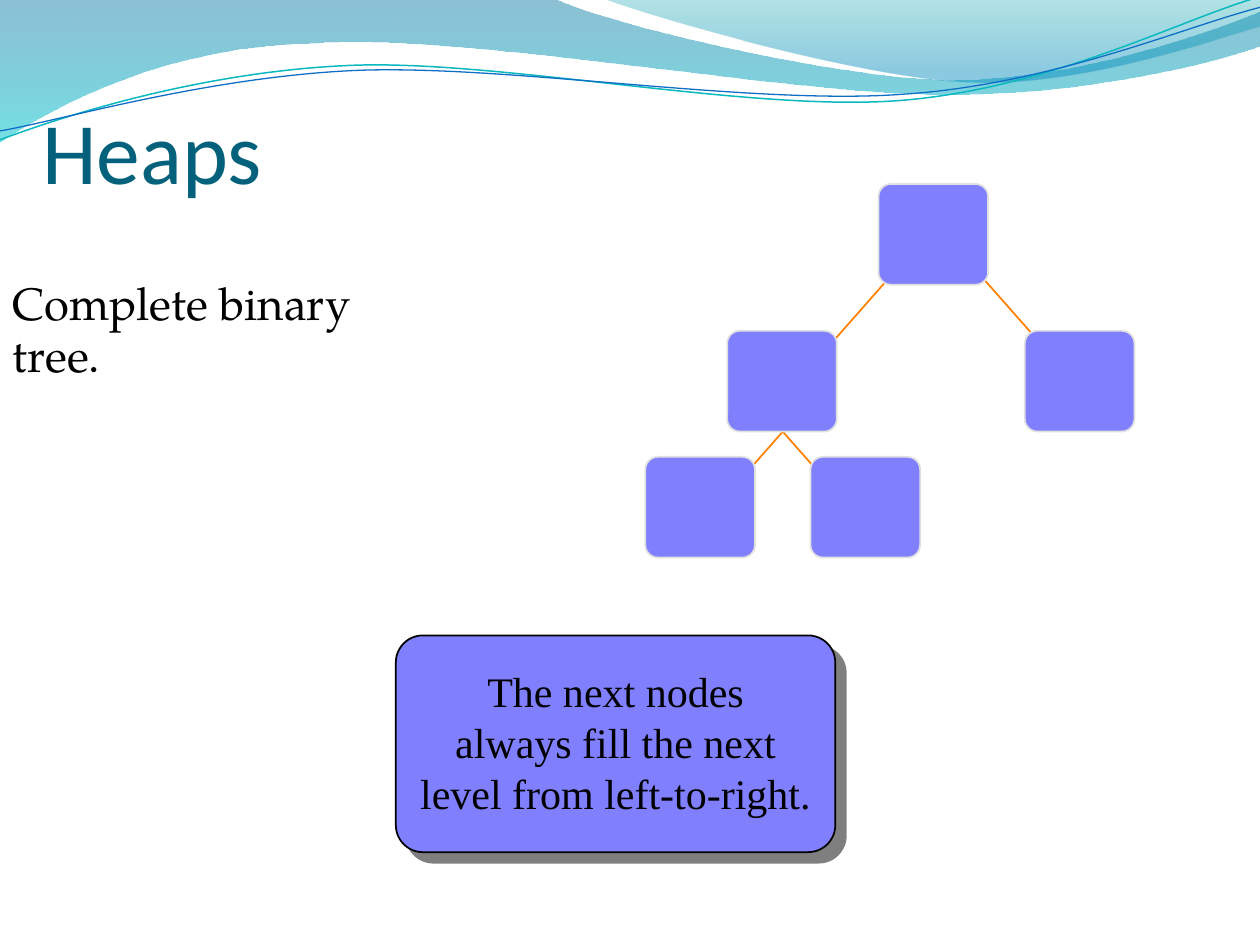
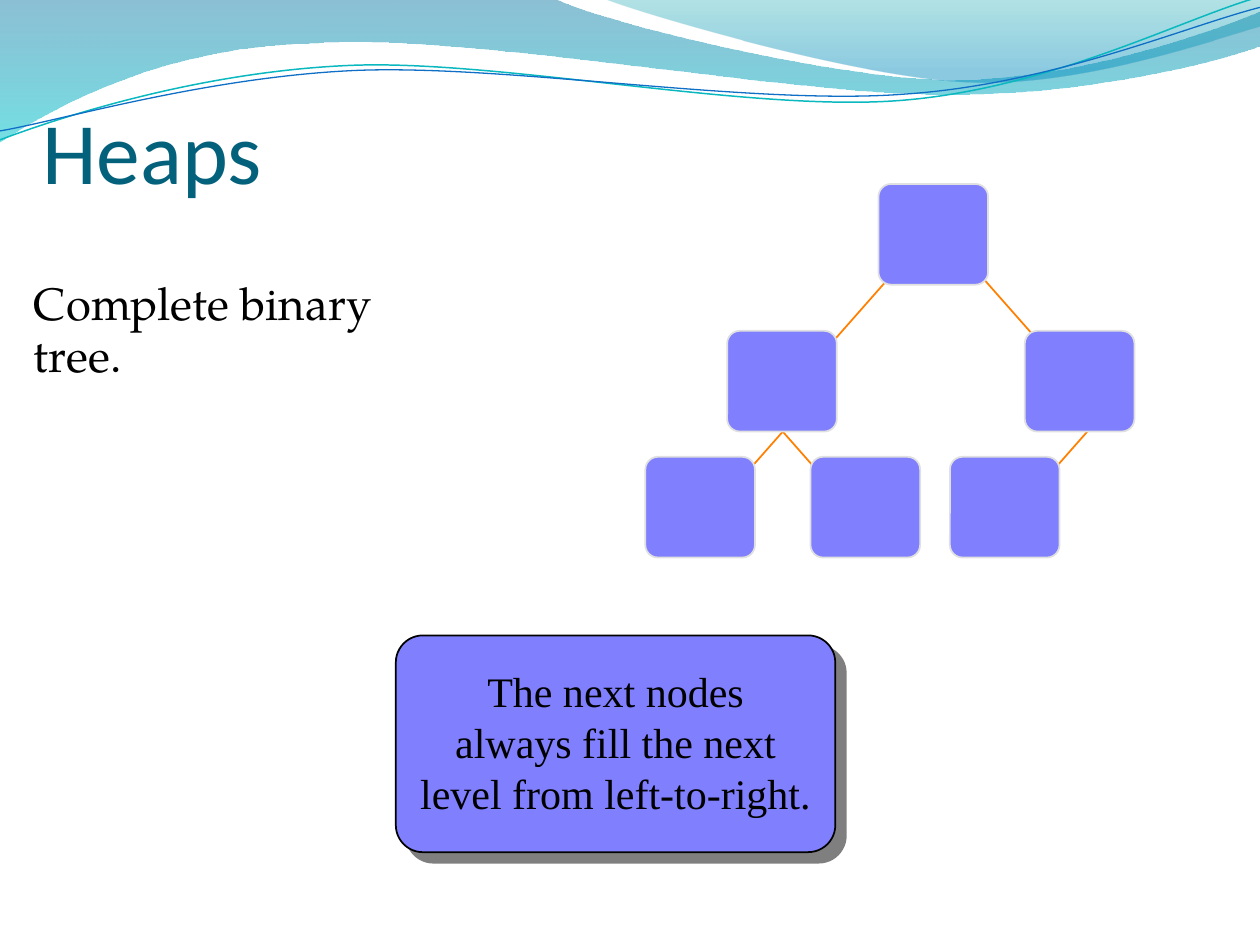
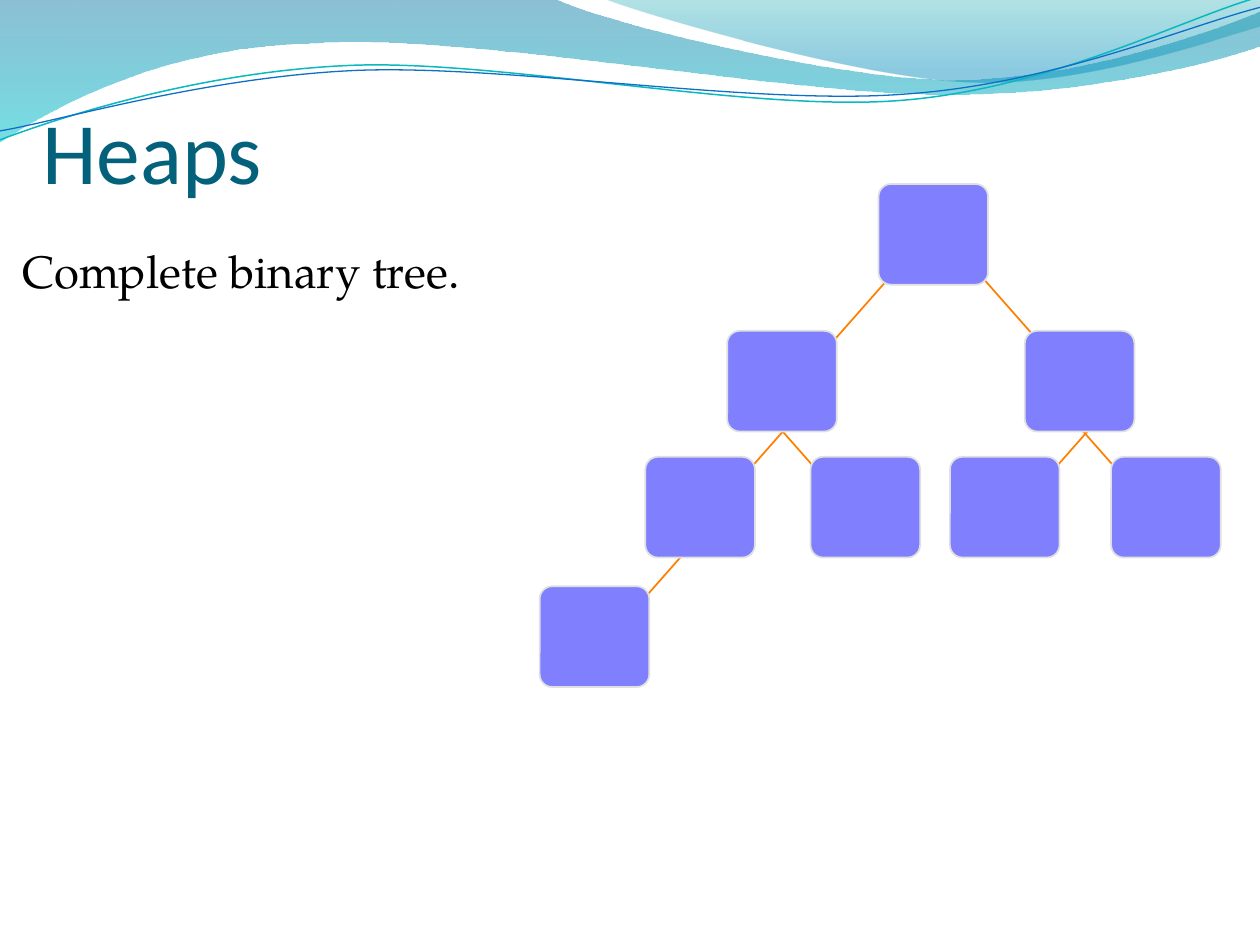
from lxml import etree
from pptx import Presentation
from pptx.dml.color import RGBColor
from pptx.enum import shapes, text
from pptx.oxml import ns
from pptx.util import Cm, Pt

# Shared colours and fonts
NODE_FILL, NODE_LINE, EDGE = "8080FF", "E0E0E0", "FF8000"
TITLE_COLOUR, BLACK = "04617B", "000000"
TITLE_FONT, BODY_FONT, NOTE_FONT = "Calibri", "TeX Gyre Pagella", "Times New Roman"

# Regions in cm: left, top, width, height
TITLE_BOX = (0.85, 0.95, 21.59, 3.18)
TREE_BOX = (10.88, 3.71, 13.72, 10.15)
NOTE_BOX = (7.98, 12.81, 8.86, 4.37)
NOTE_PADDING = 0.18

# Tree nodes level by level, as offsets within the tree box
NODE_WIDTH, NODE_HEIGHT = 2.21, 2.03
NODE_OFFSETS = [(6.83, 0), (3.78, 2.96), (9.78, 2.96),
                (2.13, 5.5), (5.46, 5.5), (8.27, 5.5), (11.52, 5.5), (0, 8.11)]
FIRST_GROUPED_NODE = 3
EDGE_INSET_X, EDGE_INSET_Y = 0.56, 0.76
EDGE_RUN, EDGE_RISE = 1.57, 1.78
EDGE_SHIFTS = {2: (0.08, -0.14)}

# Header waves in cm: a start point, then lines (one point) and curves (three points)
WAVE_BANDS = [
    ((0, 0),
     [[(11.18, -0.03)],
      [(12.09, 0.43), (16.87, 1.6), (19.25, 1.6)],
      [(21.67, 1.6), (24.33, 0.66), (25.4, 0.23)],
      [(25.43, 0.91)],
      [(24.97, 1.12), (22.1, 1.93), (18.95, 1.9)],
      [(15.8, 1.9), (9.7, 0.71), (6.53, 0.86)],
      [(3.28, 0.91), (1.17, 2.11), (-0.03, 2.87)],
      [(0, 0)]],
     [(0, "0074A1", 45), (1, "00C6CF", 55)]),
    ((12.17, -0.03),
     [[(12.93, 0.28), (17.32, 1.57), (19.53, 1.65)],
      [(21.74, 1.75), (24.41, 0.81), (25.4, 0.53)],
      [(25.4, 0)],
      [(12.17, -0.03)]],
     [(0, "00A1A9", 30), (0.8, "008BBF", 45)]),
]
WAVE_LINES = [
    ((0, 2.82),
     [[(1.22, 2.36), (4.01, 1.45), (7.04, 1.32)],
      [(10.03, 1.19), (15.06, 2.26), (18.11, 2.03)],
      [(21.16, 1.8), (23.83, 0.38), (25.35, -0.05)]],
     "0AB8BF", 0.85),
    ((0, 2.64),
     [[(1.19, 2.44), (4.17, 1.55), (7.19, 1.42)],
      [(10.24, 1.3), (15.16, 2.13), (18.21, 1.9)],
      [(21.23, 1.7), (23.9, 0.53), (25.4, 0.15)]],
     "0F6FC6", 0.75),
]

# Note lines with their line spacing
NOTE_LINES = [("The next nodes", 0.93), ("always fill the next", 1.0),
              ("level from left-to-right.", 1.0)]

# Each slide: body box, number of nodes, whether the note shows
SLIDES = [
    ((0, 5.5, 9.27, 2.11), 5, True),
    ((0.43, 5.5, 9.32, 2.11), 6, True),
    ((0.2, 4.85, 9.73, 1.78), 8, False),
]


def colour(hex_string):
    return RGBColor.from_string(hex_string)


def add_xml(parent, tag, **attributes):
    return etree.SubElement(parent, ns.qn(tag), attributes)


def place(shape, box):
    shape.left, shape.top, shape.width, shape.height = map(Cm, box)


def set_line(shape, hex_string, points):
    shape.line.color.rgb = colour(hex_string)
    shape.line.width = Pt(points)


def style_paragraph(paragraph, font, size, hex_string, alignment, spacing):
    paragraph.alignment = alignment
    paragraph.line_spacing = spacing
    for run in paragraph.runs:
        run.font.name, run.font.size = font, Pt(size)
        run.font.color.rgb = colour(hex_string)


# Header waves
def bend_segments(wave, segments):
    """Turn each run of three line points into one cubic curve."""
    lines = iter(list(wave.element.iter(ns.qn("a:lnTo"))))
    for segment in segments:
        first, *others = [next(lines) for _ in segment]
        if others:
            first.tag = ns.qn("a:cubicBezTo")
            for other in others:
                first.append(other[0])
                other.getparent().remove(other)


def add_wave(slide, start, segments, close):
    points = [(Cm(x), Cm(y)) for segment in segments for x, y in segment]
    builder = slide.shapes.build_freeform(*map(Cm, start))
    builder.add_line_segments(points, close=close)
    wave = builder.convert_to_shape()
    bend_segments(wave, segments)
    wave.shadow.inherit = False
    return wave


def fill_gradient(shape, stops):
    shape.fill.gradient()
    shape.fill.gradient_angle = 270
    for stop, (position, hex_string, _) in zip(shape.fill.gradient_stops, stops):
        stop.position = position
        stop.color.rgb = colour(hex_string)
    for element, (_, _, opacity) in zip(shape.element.iter(ns.qn("a:srgbClr")), stops):
        add_xml(element, "a:alpha", val=str(opacity * 1000))


def add_header_to_master(master, slide):
    """Draw the waves on a slide and move them to the master."""
    waves = []
    for start, segments, stops in WAVE_BANDS:
        wave = add_wave(slide, start, segments, close=True)
        fill_gradient(wave, stops)
        wave.line.fill.background()
        waves.append(wave)
    for start, segments, hex_string, points in WAVE_LINES:
        wave = add_wave(slide, start, segments, close=False)
        wave.fill.background()
        set_line(wave, hex_string, points)
        waves.append(wave)
    for index, wave in enumerate(waves):
        wave.element.xpath(".//p:cNvPr")[0].set("id", str(100 + index))
        master.shapes.element.insert(2 + index, wave.element)


# Title and body
def fill_title(title, box):
    place(title, box)
    frame = title.text_frame
    frame.text = "Heaps"
    frame.auto_size = text.MSO_AUTO_SIZE.NONE
    frame.vertical_anchor = text.MSO_ANCHOR.BOTTOM
    frame.margin_left = frame.margin_right = frame.margin_bottom = 0
    style_paragraph(frame.paragraphs[0], TITLE_FONT, 50, TITLE_COLOUR, text.PP_ALIGN.LEFT, 0.95)


def fill_body(body, box):
    place(body, box)
    frame = body.text_frame
    frame.text = "Complete binary tree."
    frame.auto_size = text.MSO_AUTO_SIZE.NONE
    paragraph = frame.paragraphs[0]
    style_paragraph(paragraph, BODY_FONT, 26, BLACK, text.PP_ALIGN.LEFT, 0.95)
    paragraph.space_before = Pt(5.2)
    properties = paragraph._p.get_or_add_pPr()
    properties.set("marL", "0")
    properties.set("indent", "0")
    add_xml(properties, "a:buNone")


# Rounded boxes
def add_rounded(parent, box, adjustment):
    rounded = parent.shapes.add_shape(shapes.MSO_SHAPE.ROUNDED_RECTANGLE, *map(Cm, box))
    rounded.adjustments[0] = adjustment
    rounded.shadow.inherit = False
    return rounded


def add_card(parent, box, line_colour):
    card = add_rounded(parent, box, 0.125)
    card.fill.solid()
    card.fill.fore_color.rgb = colour(NODE_FILL)
    set_line(card, line_colour, 1)
    return card


# Binary tree
def add_edge(parent, x, y, is_left, shift):
    """Join the node at x, y to its parent, up to the right for a left child."""
    end_x = x + (NODE_WIDTH - EDGE_INSET_X if is_left else EDGE_INSET_X) + shift[0]
    end_y = y + EDGE_INSET_Y + shift[1]
    start_x = end_x + (EDGE_RUN if is_left else -EDGE_RUN)
    edge = parent.shapes.add_connector(
        shapes.MSO_CONNECTOR.STRAIGHT,
        Cm(start_x), Cm(end_y - EDGE_RISE), Cm(end_x), Cm(end_y))
    set_line(edge, EDGE, 1)
    add_xml(edge.element.spPr, "a:effectLst")


def add_tree(slide, box, node_count):
    # Deepest nodes first, so that parents cover the edge starts
    for index in reversed(range(node_count)):
        x, y = box[0] + NODE_OFFSETS[index][0], box[1] + NODE_OFFSETS[index][1]
        parent = slide.shapes.add_group_shape() if index >= FIRST_GROUPED_NODE else slide
        if index > 0:
            add_edge(parent, x, y, index % 2 == 1, EDGE_SHIFTS.get(index, (0, 0)))
        add_card(parent, (x, y, NODE_WIDTH, NODE_HEIGHT), NODE_LINE)


# Note with a hard shadow
def add_note(slide, box):
    group = slide.shapes.add_group_shape()
    card = add_card(group, box, BLACK)
    effects = card.element.spPr.find(ns.qn("a:effectLst"))
    shadow = add_xml(effects, "a:outerShdw", blurRad="0", dist=str(Pt(8.5)),
                     dir="2700000", algn="ctr", rotWithShape="0")
    add_xml(add_xml(shadow, "a:srgbClr", val=BLACK), "a:alpha", val="50000")

    left, top, width, height = box
    label = add_rounded(group, (left + NOTE_PADDING, top + NOTE_PADDING,
                                width - 2 * NOTE_PADDING, height - 2 * NOTE_PADDING), 0)
    label.fill.background()
    label.line.fill.background()
    frame = label.text_frame
    frame.text = "\n".join(line for line, _ in NOTE_LINES)
    frame.word_wrap = True
    frame.vertical_anchor = text.MSO_ANCHOR.MIDDLE
    for paragraph, (_, spacing) in zip(frame.paragraphs, NOTE_LINES):
        style_paragraph(paragraph, NOTE_FONT, 24, BLACK, text.PP_ALIGN.CENTER, spacing)


def add_heap_slide(presentation, body_box, node_count, has_note):
    slide = presentation.slides.add_slide(presentation.slide_layouts[1])
    fill_title(slide.shapes.title, TITLE_BOX)
    fill_body(slide.placeholders[1], body_box)
    if has_note:
        add_note(slide, NOTE_BOX)
    add_tree(slide, TREE_BOX, node_count)
    return slide


def main():
    presentation = Presentation()
    presentation.slide_width, presentation.slide_height = Cm(25.4), Cm(19.05)
    heap_slides = [add_heap_slide(presentation, *content) for content in SLIDES]
    add_header_to_master(presentation.slide_master, heap_slides[0])
    presentation.save("out.pptx")


if __name__ == "__main__":
    main()
